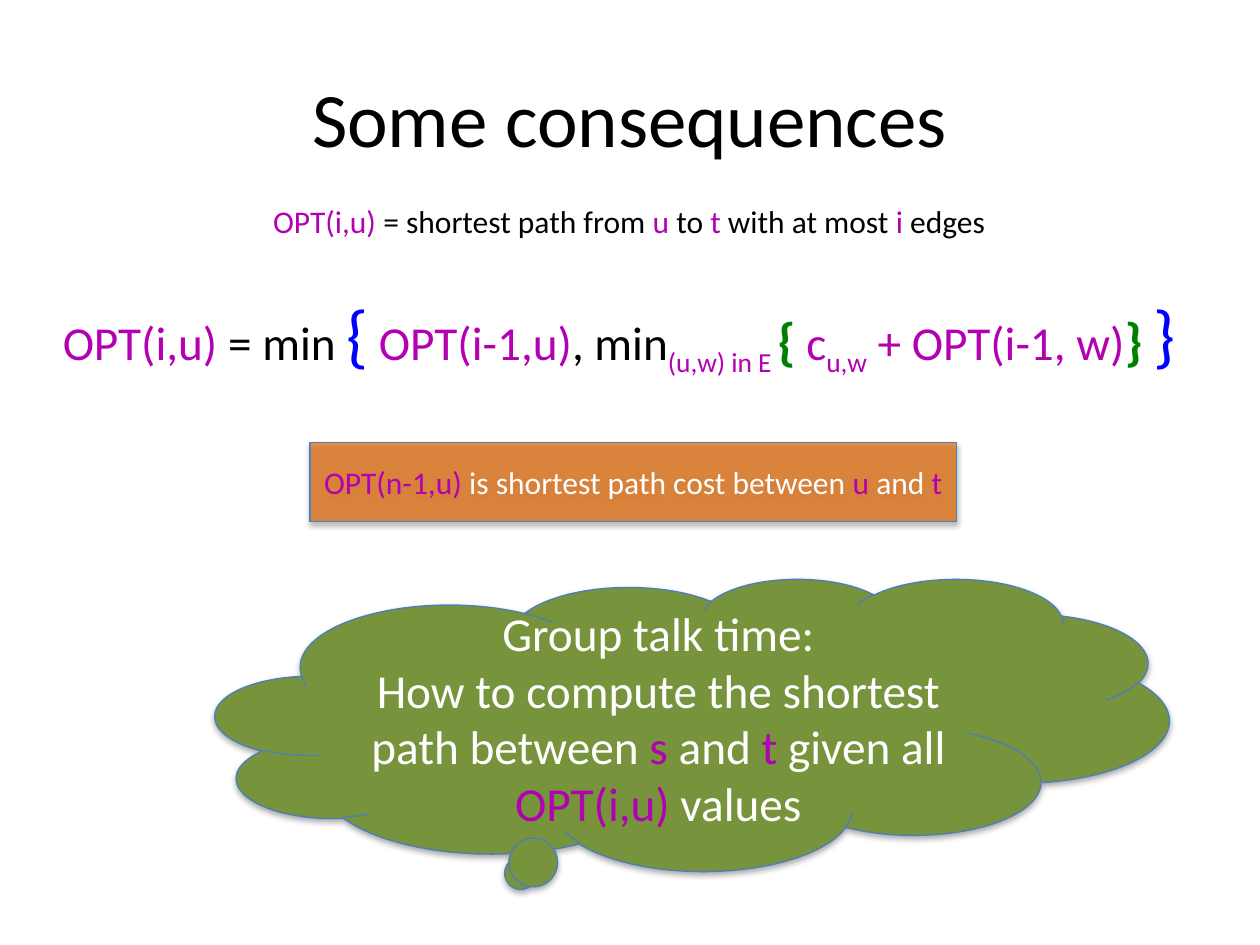
from lxml.etree import SubElement
from pptx import Presentation
from pptx.dml.color import RGBColor
from pptx.enum.shapes import MSO_SHAPE
from pptx.enum.text import MSO_ANCHOR, PP_ALIGN
from pptx.oxml.ns import qn
from pptx.util import Pt

COLORS = {
    "black": "000000", "white": "FFFFFF", "purple": "B200B2", "blue": "0000FF",
    "green": "008000", "orange": "E46C0A", "olive": "77933C", "outline": "4B7EBC",
}


def add_spans(para, size, spans):
    """Each span is text, colour and, optionally, own size or "sub"."""
    for text, color, *extra in spans:
        span = para.add_run()
        span.text = text
        span.font.name = "Calibri"
        span.font.size = Pt(size)
        span.font.color.rgb = RGBColor.from_string(COLORS[color])
        if "sub" in extra:
            span.font._element.set("baseline", "-25000")
        elif extra:
            span.font.size = Pt(extra[0])
            span.font.bold = color == "green"


def add_panel(kind, left, top, width, height, fill):
    """Filled shape that keeps the theme's soft shadow."""
    panel = page.shapes.add_shape(kind, Pt(left), Pt(top), Pt(width), Pt(height))
    panel.fill.solid()
    panel.fill.fore_color.rgb = RGBColor.from_string(COLORS[fill])
    panel.line.color.rgb = RGBColor.from_string(COLORS["outline"])
    panel.line.width = Pt(0.75)
    panel.text_frame.vertical_anchor = MSO_ANCHOR.MIDDLE
    return panel


deck = Presentation()
deck.slide_width, deck.slide_height = Pt(720), Pt(540)
page = deck.slides.add_slide(deck.slide_layouts[5])

# Title
title = page.shapes.title
title.left, title.top, title.width, title.height = Pt(36), Pt(21.6), Pt(648), Pt(90)
title.text_frame.vertical_anchor = MSO_ANCHOR.MIDDLE
title_para = title.text_frame.paragraphs[0]
title_para.alignment = PP_ALIGN.CENTER
add_spans(title_para, 44, [("Some consequences", "black")])

# Definition and recurrence
definition = [
    ("OPT(i,u) ", "purple"), ("= shortest path from ", "black"), ("u", "purple"),
    (" to ", "black"), ("t", "purple"), (" with at most ", "black"),
    ("i", "purple"), (" edges", "black"),
]
recurrence = [
    ("OPT(i,u)", "purple"), (" = min ", "black"), ("{", "blue", 40), (" ", "black"),
    ("OPT(i-1,u)", "purple"), (", min", "black"), ("(u,w) in E ", "purple", "sub"),
    ("{", "green", 30), (" ", "black"), ("c", "purple"), ("u,w", "purple", "sub"),
    (" + OPT(i-1, w)", "purple"), ("}", "green", 30), (" ", "black"), ("}", "blue", 40),
]
for left, top, width, height, size, spans in [
    (149, 111.6, 422.6, 29, 18, definition),
    (28.8, 162.7, 669.6, 55.4, 27, recurrence),
]:
    box = page.shapes.add_textbox(Pt(left), Pt(top), Pt(width), Pt(height))
    box.text_frame.word_wrap = False
    add_spans(box.text_frame.paragraphs[0], size, spans)

# Result banner, partly transparent
banner = add_panel(MSO_SHAPE.RECTANGLE, 177.1, 252.7, 369.4, 45.4, "orange")
banner_color = banner._element.spPr.find(qn("a:solidFill")).find(qn("a:srgbClr"))
SubElement(banner_color, qn("a:alpha")).set("val", "72000")
banner.text_frame.word_wrap = False
banner_para = banner.text_frame.paragraphs[0]
banner_para.alignment = PP_ALIGN.CENTER
add_spans(banner_para, 18, [
    ("OPT(n-1,u) ", "purple"), ("is shortest path cost between ", "white"),
    ("u", "purple"), (" and ", "white"), ("t", "purple"),
])

# Discussion cloud
cloud = add_panel(MSO_SHAPE.CLOUD_CALLOUT, 123.1, 330.5, 545, 167, "olive")
cloud.adjustments[0], cloud.adjustments[1] = -0.18, 0.51
cloud.text_frame.text = "Group talk time:"
cloud.text_frame.text = ""
question = [
    ("How to compute the shortest path between ", "white"), ("s", "purple"),
    (" and ", "white"), ("t", "purple"), (" given all ", "white"),
    ("OPT(i,u) ", "purple"), ("values", "white"),
]
heading_para = cloud.text_frame.paragraphs[0]
question_para = cloud.text_frame.add_paragraph()
for para, spans in [(heading_para, [("Group talk time:", "white")]), (question_para, question)]:
    para.alignment = PP_ALIGN.CENTER
    add_spans(para, 27, spans)

deck.save("out.pptx")
